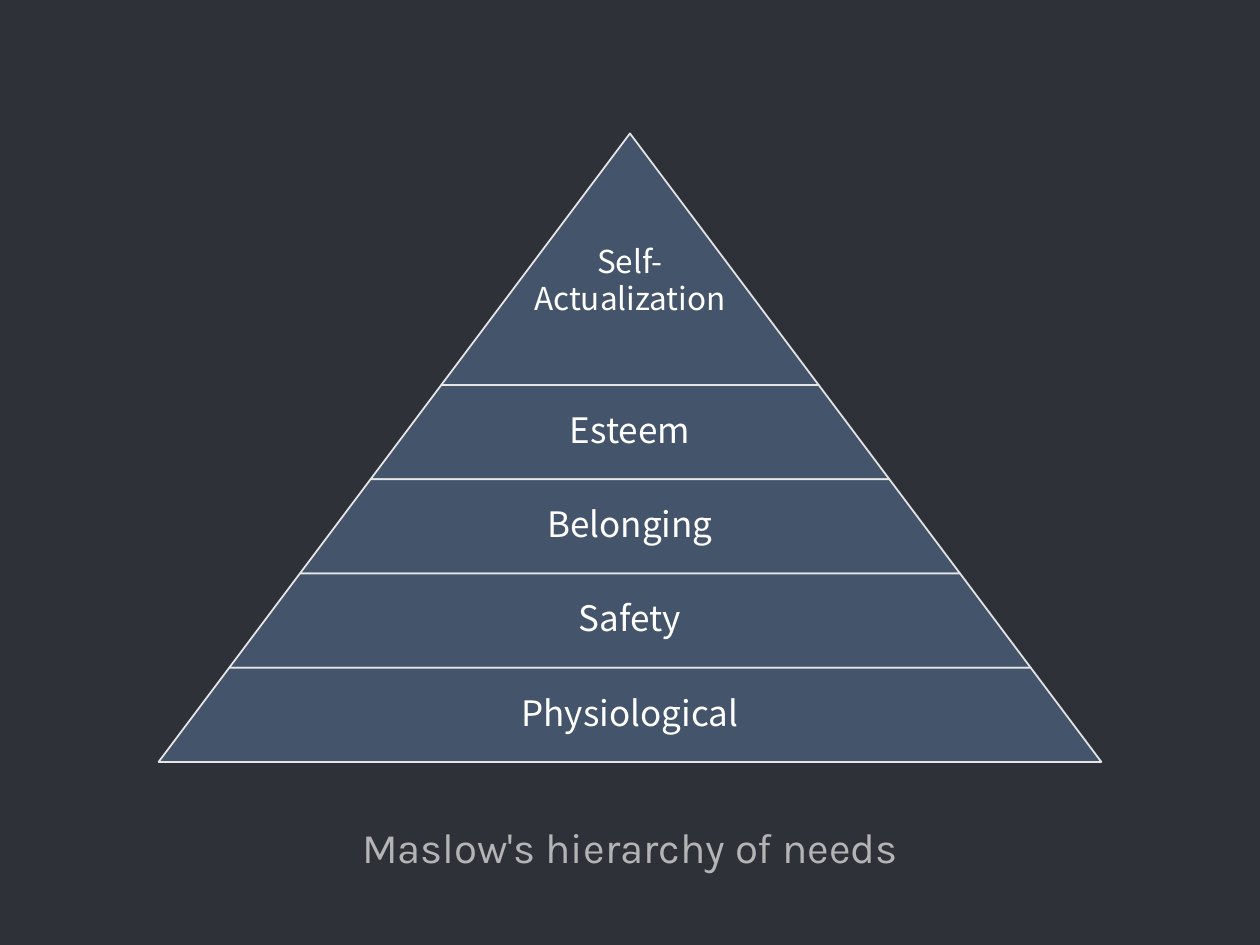
"""Build a slide showing Maslow's hierarchy of needs as a five-level pyramid."""
import dataclasses

import pptx
import pptx.dml.color
import pptx.enum.shapes
import pptx.enum.text
import pptx.util
from pptx.util import Cm


@dataclasses.dataclass(frozen=True)
class Theme:
    background: str = "2E3138"
    level_fill: str = "44546A"
    outline: str = "E7E6E6"
    level_text: str = "FFFFFF"
    caption_text: str = "B4B4B4"
    level_font: str = "Noto Sans CJK SC"
    caption_font: str = "Karla"
    apex_size: int = 18
    level_size: int = 20
    caption_size: int = 24


def write_text(frame, text, *, font, size, color, line_spacing=1.0, space_after=0):
    for index, line in enumerate(text.split("\n")):
        para = frame.add_paragraph() if index else frame.paragraphs[0]
        para.alignment = pptx.enum.text.PP_ALIGN.CENTER
        para.line_spacing = line_spacing
        para.space_after = pptx.util.Pt(space_after)
        span = para.add_run()
        span.text = line
        span.font.name = font
        span.font.size = pptx.util.Pt(size)
        span.font.color.rgb = pptx.dml.color.RGBColor.from_string(color)


theme = Theme()
deck = pptx.Presentation()
deck.slide_width = Cm(25.4)
deck.slide_height = Cm(19.05)
page = deck.slides.add_slide(deck.slide_layouts[5])
page.background.fill.solid()
page.background.fill.fore_color.rgb = pptx.dml.color.RGBColor.from_string(theme.background)

center = 12.7
apex_top = 2.69
slope = 0.75
levels = [
    ("Self-\nActualization", 5.07, theme.apex_size, 0.91),
    ("Esteem", 1.9, theme.level_size, 0),
    ("Belonging", 1.9, theme.level_size, 0),
    ("Safety", 1.9, theme.level_size, 0),
    ("Physiological", 1.9, theme.level_size, 0),
]

pyramid = page.shapes.add_group_shape()
depth = 0
for label, height, size, text_drop in levels:
    top = apex_top + depth
    depth += height
    half_width = slope * depth
    level = pyramid.shapes.add_shape(
        pptx.enum.shapes.MSO_SHAPE.TRAPEZOID,
        Cm(center - half_width), Cm(top), Cm(2 * half_width), Cm(height),
    )
    level.adjustments[0] = slope
    level.shadow.inherit = False
    level.fill.solid()
    level.fill.fore_color.rgb = pptx.dml.color.RGBColor.from_string(theme.level_fill)
    level.line.color.rgb = pptx.dml.color.RGBColor.from_string(theme.outline)
    level.line.width = pptx.util.Pt(1)
    frame = level.text_frame
    frame.word_wrap = False
    frame.vertical_anchor = pptx.enum.text.MSO_ANCHOR.MIDDLE
    frame.margin_left = frame.margin_right = frame.margin_top = 0
    text_inset = height / 3 * slope * height / half_width
    frame.margin_bottom = Cm(text_inset - text_drop)
    write_text(frame, label, font=theme.level_font, size=size,
               color=theme.level_text, line_spacing=0.9, space_after=2)

caption = page.shapes.title
caption.left, caption.top, caption.width, caption.height = Cm(3.05), Cm(16.43), Cm(19.3), Cm(1.27)
caption.text_frame.word_wrap = True
caption.text_frame.auto_size = pptx.enum.text.MSO_AUTO_SIZE.NONE
caption.text_frame.vertical_anchor = pptx.enum.text.MSO_ANCHOR.TOP
write_text(caption.text_frame, "Maslow's hierarchy of needs", font=theme.caption_font,
           size=theme.caption_size, color=theme.caption_text)

deck.save("out.pptx")
